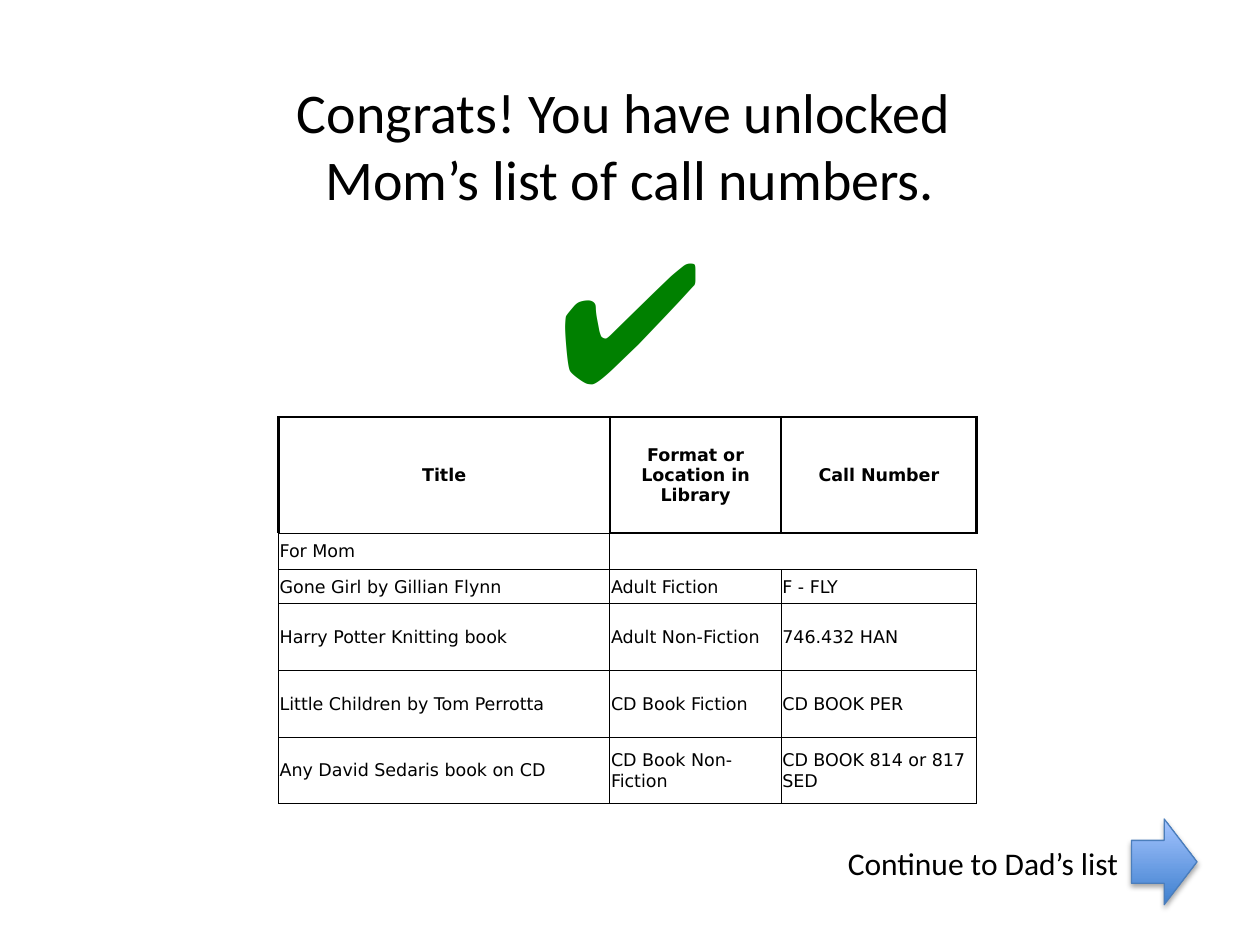
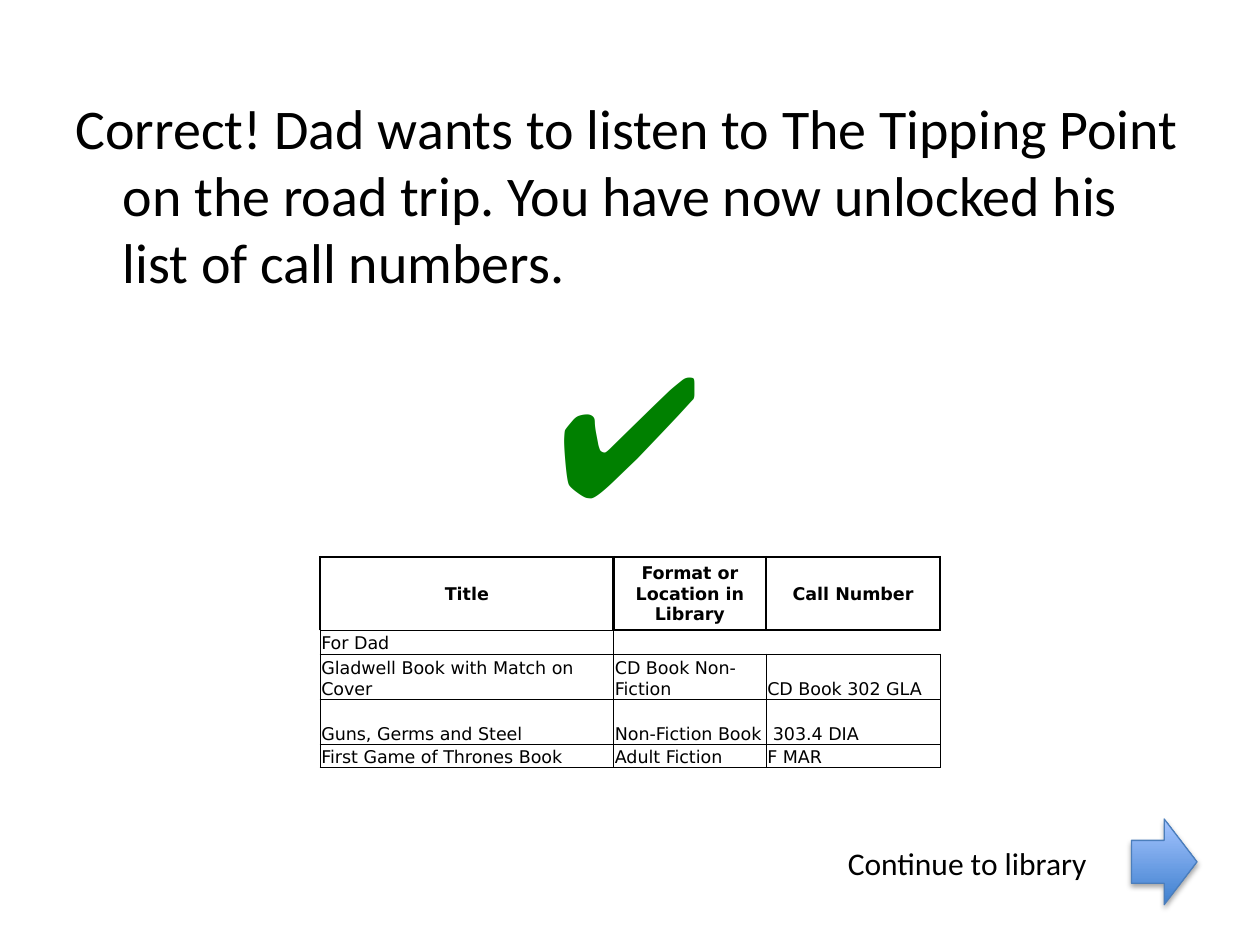
import pptx
import pptx.dml.color
import pptx.enum.shapes
import pptx.enum.text
import pptx.oxml
import pptx.oxml.ns
import pptx.util
import lxml.etree

Inches = pptx.util.Inches
Pt = pptx.util.Pt
ALIGN = pptx.enum.text.PP_ALIGN
ANCHOR = pptx.enum.text.MSO_ANCHOR
qn = pptx.oxml.ns.qn

# Shared look
COLORS = {"ink": "000000", "check": "008000", "arrow_dark": "3F80CE",
          "arrow_light": "A4C4FF", "arrow_edge": "4B7EBC"}
FONTS = {
    "heading": {"name": "Calibri", "size": Pt(32)},
    "link": {"name": "Calibri", "size": Pt(18)},
    "check": {"name": "Arial", "size": Pt(96)},
    "header": {"name": "DejaVu Sans", "size": Pt(10), "bold": True},
    "cell": {"name": "DejaVu Sans", "size": Pt(10), "bold": False},
}
CELL_FORMAT = {"margin_left": Inches(0.01), "margin_right": Inches(0.01),
               "margin_top": Inches(0.01), "margin_bottom": 0}
HEADERS = ["Title", "Format or Location in Library", "Call Number"]
THIN, THICK = 0.5, 1.5
# Border widths in points: left, right, top, bottom
HEADER_BORDERS = [(THICK, THICK, THICK, THIN)] + [(THICK,) * 4] * 2
GROUP_BORDERS = [(THIN,) * 4, (THIN, 0, THICK, THIN), (0, 0, THICK, THIN)]
BOOK_BORDERS = [(THIN,) * 4] * 3

SLIDES = [
    {
        "layout": 5,
        "heading": "Congrats! You have unlocked \vMom’s list of call numbers.",
        "heading_at": (0.5, 0.52, 9, 1.25),
        "link": "Continue to Dad’s list", "link_width": 2.38,
        "table_at": (2.21, 3.31), "anchor": ANCHOR.MIDDLE,
        "columns": [2.63, 1.36, 1.55],
        "heights": [0.92, 0.29, 0.27, 0.53, 0.53, 0.53],
        "rows": [
            ["For Mom", "", ""],
            ["Gone Girl by Gillian Flynn", "Adult Fiction", "F - FLY"],
            ["Harry Potter Knitting book", "Adult Non-Fiction", "746.432 HAN"],
            ["Little Children by Tom Perrotta", "CD Book Fiction", "CD BOOK PER"],
            ["Any David Sedaris book on CD", "CD Book Non-Fiction",
             "CD BOOK 814 or 817 SED"],
        ],
    },
    {
        "layout": 1,
        "heading": "Correct! Dad wants to listen to The Tipping Point on the road trip. "
                   "You have now unlocked his list of call numbers.",
        "heading_at": (0.5, 0.69, 9, 3.43),
        "link": "Continue to library", "link_width": 2.12,
        "table_at": (2.54, 4.42), "anchor": ANCHOR.BOTTOM,
        "columns": [2.33, 1.21, 1.38],
        "heights": [0.58, 0.19, 0.36, 0.36, 0.18],
        "rows": [
            ["For Dad", "", ""],
            ["Gladwell Book with Match on Cover", "CD Book Non-Fiction",
             "CD Book 302 GLA"],
            ["Guns, Germs and Steel", "Non-Fiction Book", " 303.4 DIA"],
            ["First Game of Thrones Book", "Adult Fiction", "F MAR"],
        ],
    },
]


def write(para, text, style, align=None, color="ink"):
    """Fill a paragraph with text in one of the shared styles."""
    para.text = text
    para.alignment = align
    for span in para.runs:
        for name, value in FONTS[style].items():
            setattr(span.font, name, value)
        span.font.color.rgb = pptx.dml.color.RGBColor.from_string(COLORS[color])


def draw_borders(cell, widths):
    """Set the left, right, top and bottom border of a cell."""
    properties = cell._tc.get_or_add_tcPr()
    for side, width in zip("LRTB", widths):
        line = lxml.etree.SubElement(properties, qn(f"a:ln{side}"), w=str(Pt(width)))
        if width:
            fill = lxml.etree.SubElement(line, qn("a:solidFill"))
            lxml.etree.SubElement(fill, qn("a:srgbClr"), val=COLORS["ink"])
        else:
            lxml.etree.SubElement(line, qn("a:noFill"))


deck = pptx.Presentation()
deck.slide_width, deck.slide_height = Inches(10), Inches(7.5)

for content in SLIDES:
    page = deck.slides.add_slide(deck.slide_layouts[content["layout"]])

    # Heading: the title, or the body with the check mark as second paragraph
    box = page.placeholders[0]
    is_body = content["layout"] == 1
    if is_body:
        box.element.getparent().remove(box.element)
        box = page.placeholders[1]
    for name, value in zip(("left", "top", "width", "height"), content["heading_at"]):
        setattr(box, name, Inches(value))
    frame = box.text_frame
    frame.auto_size = pptx.enum.text.MSO_AUTO_SIZE.NONE
    write(frame.paragraphs[0], content["heading"], "heading",
          ALIGN.LEFT if is_body else ALIGN.CENTER)

    # Check mark
    if is_body:
        check = frame.add_paragraph()
    else:
        check_box = page.shapes.add_textbox(
            Inches(4.33), Inches(1.65), Inches(1.34), Inches(1.72))
        check_box.text_frame.word_wrap = False
        check = check_box.text_frame.paragraphs[0]
    write(check, "✔", "check", ALIGN.CENTER, "check")
    if is_body:
        for para in frame.paragraphs:
            lxml.etree.SubElement(para._p.get_or_add_pPr(), qn("a:buNone"))

    # Table of call numbers
    rows = [HEADERS] + content["rows"]
    left, top = content["table_at"]
    table = page.shapes.add_table(
        len(rows), len(HEADERS), Inches(left), Inches(top),
        Inches(sum(content["columns"])), Inches(sum(content["heights"]))).table
    table.first_row = table.horz_banding = False
    for column, width in zip(table.columns, content["columns"]):
        column.width = Inches(width)
    for row, height in zip(table.rows, content["heights"]):
        row.height = Inches(height)
    borders = [HEADER_BORDERS, GROUP_BORDERS] + [BOOK_BORDERS] * (len(rows) - 2)
    for row_index, texts in enumerate(rows):
        is_header = row_index == 0
        for column_index, text in enumerate(texts):
            cell = table.cell(row_index, column_index)
            for name, value in CELL_FORMAT.items():
                setattr(cell, name, value)
            cell.vertical_anchor = ANCHOR.MIDDLE if is_header else content["anchor"]
            draw_borders(cell, borders[row_index][column_index])
            cell.fill.background()
            para = cell.text_frame.paragraphs[0]
            if text:
                write(para, text, "header" if is_header else "cell",
                      ALIGN.CENTER if is_header else ALIGN.LEFT)
            else:
                # A small end mark keeps empty cells from stretching the row
                lxml.etree.SubElement(para._p, qn("a:endParaRPr"), sz="1000")

    # Arrow to the next slide
    arrow = page.shapes.add_shape(
        pptx.enum.shapes.MSO_SHAPE.RIGHT_ARROW,
        Inches(8.98), Inches(6.5), Inches(0.52), Inches(0.68))
    arrow.fill.gradient()
    arrow.fill.gradient_angle = 90
    for stop, color in zip(arrow.fill.gradient_stops, ("arrow_dark", "arrow_light")):
        stop.color.rgb = pptx.dml.color.RGBColor.from_string(COLORS[color])
    arrow.line.color.rgb = pptx.dml.color.RGBColor.from_string(COLORS["arrow_edge"])
    arrow.line.width = Pt(0.75)
    arrow.shadow.inherit = False
    effects = arrow.element.spPr.find(qn("a:effectLst"))
    shadow = lxml.etree.SubElement(
        effects, qn("a:outerShdw"), blurRad=str(Pt(3.1)), dist=str(Pt(1.8)),
        dir="5400000", rotWithShape="0")
    shade = lxml.etree.SubElement(shadow, qn("a:srgbClr"), val=COLORS["ink"])
    lxml.etree.SubElement(shade, qn("a:alpha"), val="35000")

    # Label beside the arrow
    label = page.shapes.add_textbox(
        Inches(6.63), Inches(6.65), Inches(content["link_width"]), Inches(0.4))
    label.text_frame.word_wrap = False
    write(label.text_frame.paragraphs[0], content["link"], "link")

deck.save("out.pptx")
